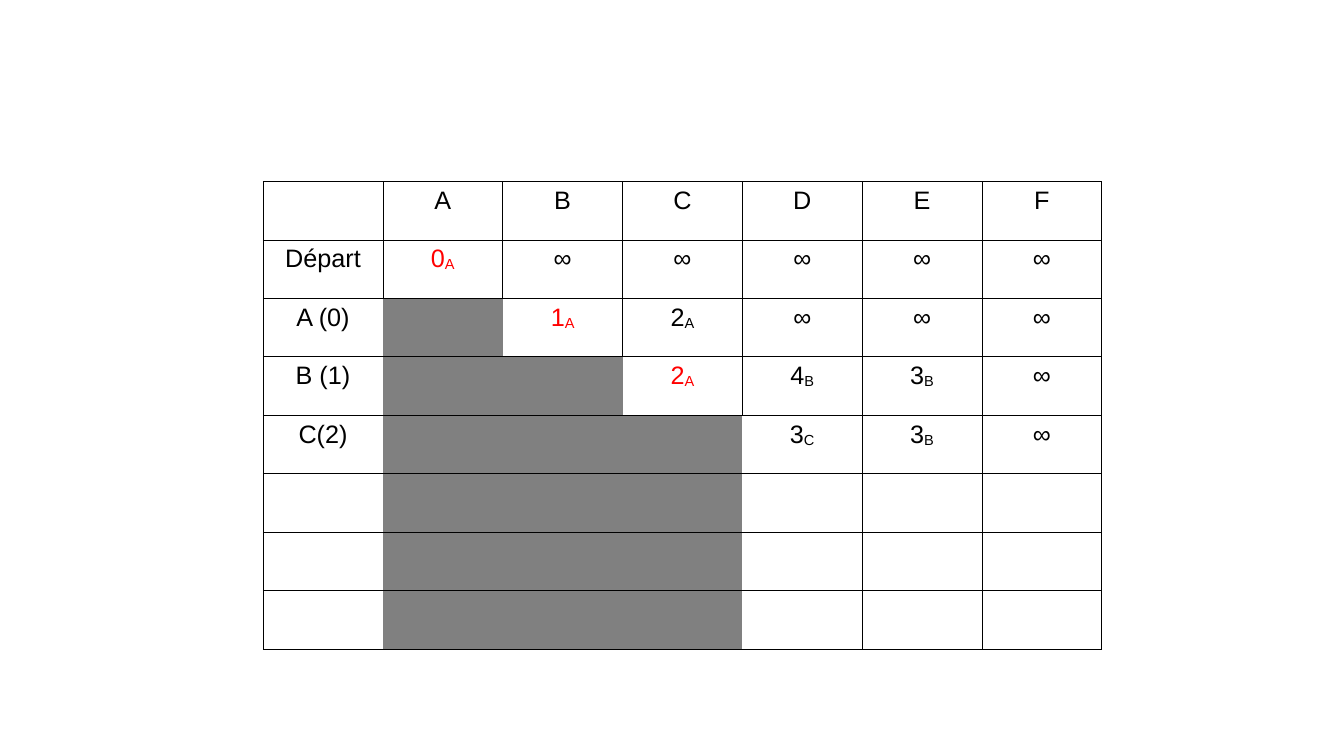
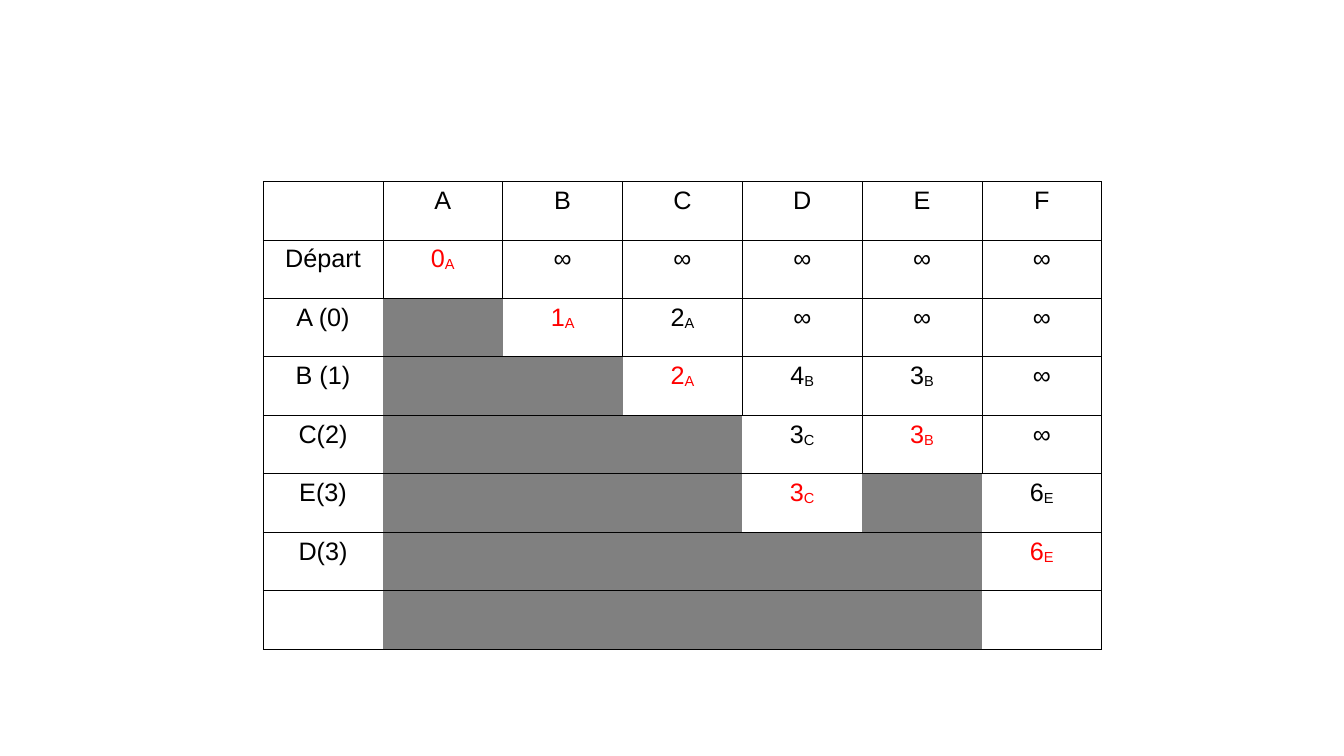
from dataclasses import dataclass

from lxml import etree
from pptx import Presentation
from pptx.dml.color import RGBColor
from pptx.enum.text import PP_ALIGN
from pptx.oxml.ns import qn
from pptx.util import Inches, Pt

CENTER = PP_ALIGN.CENTER
BLANK_LAYOUT = 6


@dataclass(frozen=True)
class Theme:
    font: str = "Arial"
    text_size: int = 18
    text: str = "000000"
    chosen: str = "FF0000"
    settled: str = "808080"
    paper: str = "FFFFFF"
    border: str = "000000"
    border_width: float = 0.57
    subscript: int = -8000


THEME = Theme()
LEFT, TOP, WIDTH, HEIGHT = 2.61, 1.8, 8.32, 4.64
MARGIN_X, MARGIN_Y = 0.04, 0.05

# Cell marks: "#" settled vertex, "*" chosen distance, "." empty,
# "2_A" distance 2 reached from A.
SETTLED, CHOSEN, EMPTY = "#", "*", "."

FIRST_STEPS = [
    ("", "A B C D E F"),
    ("Départ", "*0_A ∞ ∞ ∞ ∞ ∞"),
    ("A (0)", "# *1_A 2_A ∞ ∞ ∞"),
    ("B (1)", "# # *2_A 4_B 3_B ∞"),
]
PARTIAL_RUN = FIRST_STEPS + [("C(2)", "# # # 3_C 3_B ∞")] + [("", "# # # . . .")] * 3
COMPLETE_RUN = FIRST_STEPS + [
    ("C(2)", "# # # 3_C *3_B ∞"),
    ("E(3)", "# # # *3_C # 6_E"),
    ("D(3)", "# # # # # *6_E"),
    ("", "# # # # # ."),
]


def add_text(paragraph, text, color=THEME.text, baseline=None):
    run = paragraph.add_run()
    run.text = text
    run.font.name = THEME.font
    run.font.size = Pt(THEME.text_size)
    run.font.color.rgb = RGBColor.from_string(color)
    if baseline is not None:
        run.font._element.set("baseline", str(baseline))


def set_borders(cell, visible):
    """Draw the named sides (L, R, T, B) and hide the others."""
    properties = cell._tc.get_or_add_tcPr()
    for side in "LRTB":
        line = etree.SubElement(properties, qn(f"a:ln{side}"),
                                w=str(int(Pt(THEME.border_width))))
        if side in visible:
            fill = etree.SubElement(line, qn("a:solidFill"))
            etree.SubElement(fill, qn("a:srgbClr"), val=THEME.border)
        else:
            etree.SubElement(line, qn("a:noFill"))


def visible_sides(marks, column):
    """Rows are always ruled; upright lines stop beside settled vertices."""
    def is_open(index):
        return not 0 <= index < len(marks) or marks[index] != SETTLED

    sides = "TB"
    if is_open(column):
        sides += "L" * is_open(column - 1) + "R" * is_open(column + 1)
    return sides


def fill_cell(cell, mark):
    cell.margin_left = cell.margin_right = Inches(MARGIN_X)
    cell.margin_top = cell.margin_bottom = Inches(MARGIN_Y)
    cell.fill.solid()
    background = THEME.settled if mark == SETTLED else THEME.paper
    cell.fill.fore_color.rgb = RGBColor.from_string(background)
    paragraph = cell.text_frame.paragraphs[0]
    paragraph.alignment = CENTER
    if mark in ("", EMPTY, SETTLED):
        paragraph.font.size = Pt(THEME.text_size)
        return
    color = THEME.chosen if mark.startswith(CHOSEN) else THEME.text
    value, _, origin = mark.removeprefix(CHOSEN).partition("_")
    add_text(paragraph, value, color=color)
    if origin:
        add_text(paragraph, origin, color=color, baseline=THEME.subscript)


def add_distance_table(slide, steps):
    grid = [[label, *marks.split()] for label, marks in steps]
    table = slide.shapes.add_table(
        len(grid), len(grid[0]),
        Inches(LEFT), Inches(TOP), Inches(WIDTH), Inches(HEIGHT)).table
    table.first_row = table.horz_banding = False
    for column in table.columns:
        column.width = Inches(WIDTH / len(grid[0]))
    for row in table.rows:
        row.height = Inches(HEIGHT / len(grid))
    for row_index, marks in enumerate(grid):
        for column_index, mark in enumerate(marks):
            cell = table.cell(row_index, column_index)
            set_borders(cell, visible_sides(marks, column_index))
            fill_cell(cell, mark)


def main():
    presentation = Presentation()
    presentation.slide_width = Inches(13.33)
    presentation.slide_height = Inches(7.5)
    for steps in (PARTIAL_RUN, COMPLETE_RUN):
        slide = presentation.slides.add_slide(presentation.slide_layouts[BLANK_LAYOUT])
        add_distance_table(slide, steps)
    presentation.save("out.pptx")


if __name__ == "__main__":
    main()
